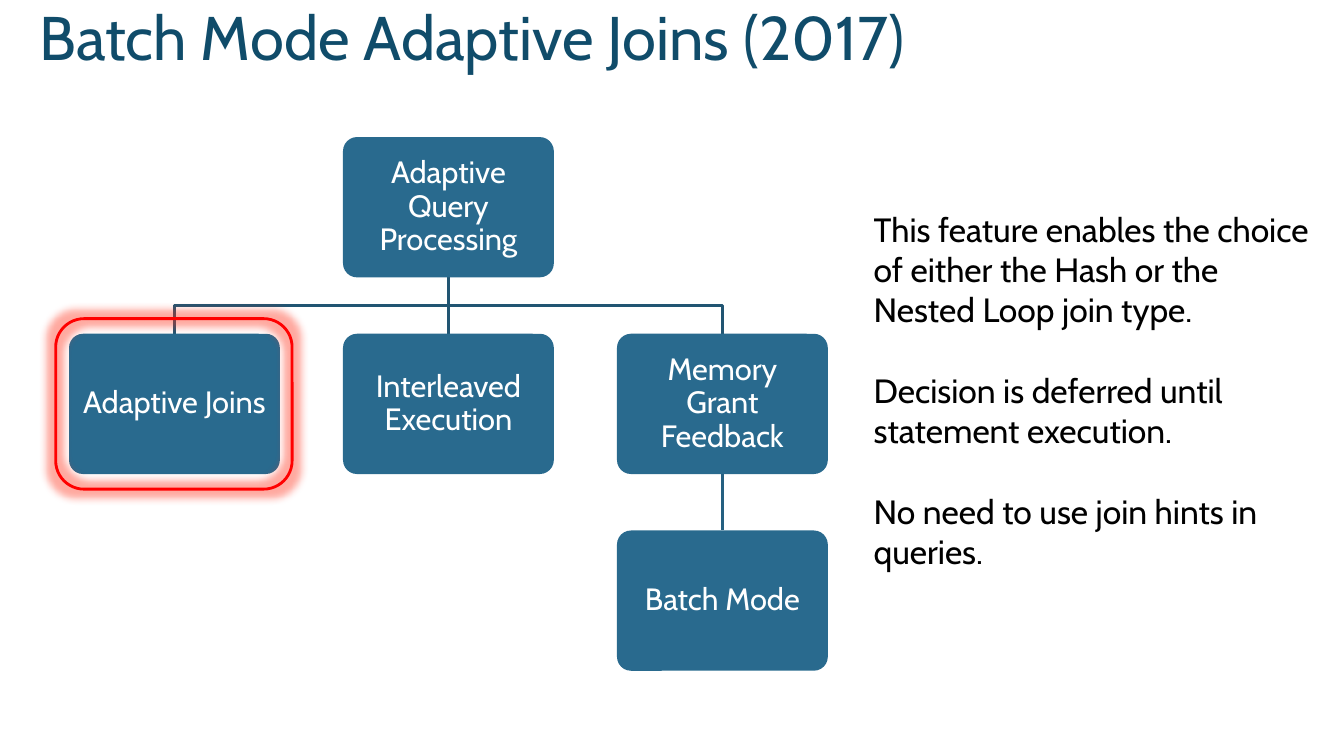
import pptx
import pptx.util
import pptx.dml.color
import pptx.enum.shapes
import pptx.enum.text
import pptx.oxml
from pptx.oxml.ns import nsdecls

Pt = pptx.util.Pt
SHAPES = pptx.enum.shapes.MSO_SHAPE
ALIGN = pptx.enum.text.PP_ALIGN
ANCHOR = pptx.enum.text.MSO_ANCHOR

TITLE = "Batch Mode Adaptive Joins (2017)"
NODES = {
    "Adaptive Query Processing": (1, 0),
    "Adaptive Joins": (0, 1),
    "Interleaved Execution": (1, 1),
    "Memory Grant Feedback": (2, 1),
    "Batch Mode": (2, 2),
}
LINKS = [
    ("Adaptive Query Processing", "Adaptive Joins", "215572"),
    ("Adaptive Query Processing", "Interleaved Execution", "215572"),
    ("Adaptive Query Processing", "Memory Grant Feedback", "215572"),
    ("Memory Grant Feedback", "Batch Mode", "256081"),
]
REMARKS = [
    "This feature enables the choice of either the Hash or the Nested Loop join type.",
    "Decision is deferred until statement execution.",
    "No need to use join hints in queries.",
]

LEFT, TOP = 49.3, 97.9
COLUMN_STEP, ROW_STEP = 195.7, 140.5
NODE_WIDTH, NODE_HEIGHT = 150.6, 100.2


def color(value):
    return pptx.dml.color.RGBColor.from_string(value)


def set_all(target, values):
    for name, value in values.items():
        setattr(target, name, value)


def write(frame, texts, size, ink, frame_format, para_format):
    set_all(frame, {"word_wrap": True, **frame_format})
    for index, text in enumerate(texts):
        para = frame.paragraphs[0] if index == 0 else frame.add_paragraph()
        set_all(para, para_format)
        if index:
            para.space_before = Pt(size * 1.2)
        span = para.add_run()
        span.text = text
        set_all(span.font, {"name": "Cabin", "size": Pt(size)})
        span.font.color.rgb = color(ink)


def set_line(shape, ink):
    shape.line.color.rgb = color(ink)
    shape.line.width = Pt(2)


def node_corner(name):
    column, row = NODES[name]
    return LEFT + column * COLUMN_STEP, TOP + row * ROW_STEP


def add_link(page, parent, child, ink):
    (start_x, start_y), (end_x, end_y) = node_corner(parent), node_corner(child)
    start_x, end_x = start_x + NODE_WIDTH / 2, end_x + NODE_WIDTH / 2
    start_y += NODE_HEIGHT
    if start_x == end_x:
        link = page.shapes.add_connector(
            pptx.enum.shapes.MSO_CONNECTOR.STRAIGHT,
            Pt(start_x), Pt(start_y), Pt(end_x), Pt(end_y))
        link._element.spPr.append(
            pptx.oxml.parse_xml(f"<a:effectLst {nsdecls('a')}/>"))
    else:
        middle = (start_y + end_y) / 2
        builder = page.shapes.build_freeform(Pt(start_x), Pt(start_y))
        builder.add_line_segments(
            [(Pt(start_x), Pt(middle)), (Pt(end_x), Pt(middle)), (Pt(end_x), Pt(end_y))],
            close=False)
        link = builder.convert_to_shape()
        link.fill.background()
        link.shadow.inherit = False
    set_line(link, ink)


def add_node(page, name):
    x, y = node_corner(name)
    box = page.shapes.add_shape(
        SHAPES.ROUNDED_RECTANGLE, Pt(x), Pt(y), Pt(NODE_WIDTH), Pt(NODE_HEIGHT))
    box.adjustments[0] = 0.1
    box.shadow.inherit = False
    box.fill.solid()
    box.fill.fore_color.rgb = color("296A8E")
    box.line.fill.background()
    sides = ("left", "right", "top", "bottom")
    margins = {f"margin_{side}": Pt(6) for side in sides}
    write(box.text_frame, [name], 22, "FFFFFF",
          {"vertical_anchor": ANCHOR.MIDDLE, **margins},
          {"alignment": ALIGN.CENTER, "line_spacing": 0.9})


def add_highlight(page, name):
    x, y = node_corner(name)
    ring = page.shapes.add_shape(
        SHAPES.ROUNDED_RECTANGLE, Pt(x - 9.5), Pt(y - 10.8),
        Pt(NODE_WIDTH + 18.3), Pt(NODE_HEIGHT + 21.6))
    ring.shadow.inherit = False
    ring.fill.background()
    set_line(ring, "FF0000")
    effects = ring._element.spPr.find(pptx.oxml.ns.qn("a:effectLst"))
    effects.append(pptx.oxml.parse_xml(
        f"<a:glow {nsdecls('a')} rad=\"{Pt(11)}\"><a:srgbClr val=\"FF2A12\">"
        "<a:alpha val=\"40000\"/></a:srgbClr></a:glow>"))


def main():
    deck = pptx.Presentation()
    set_all(deck, {"slide_width": Pt(960), "slide_height": Pt(540)})
    page = deck.slides.add_slide(deck.slide_layouts[5])
    title = page.shapes.title
    set_all(title, {"left": Pt(21), "top": Pt(13.7), "width": Pt(864), "height": Pt(90)})
    write(title.text_frame, [TITLE], 44, "104C6A",
          {"vertical_anchor": ANCHOR.TOP, "auto_size": pptx.enum.text.MSO_AUTO_SIZE.NONE},
          {"alignment": ALIGN.LEFT, "line_spacing": Pt(35)})
    for link in LINKS:
        add_link(page, *link)
    for name in NODES:
        add_node(page, name)
    box = page.shapes.add_textbox(Pt(617), Pt(145.4), Pt(335.5), Pt(269.3))
    write(box.text_frame, REMARKS, 24, "000000", {}, {})
    add_highlight(page, "Adaptive Joins")
    deck.save("out.pptx")


if __name__ == "__main__":
    main()
